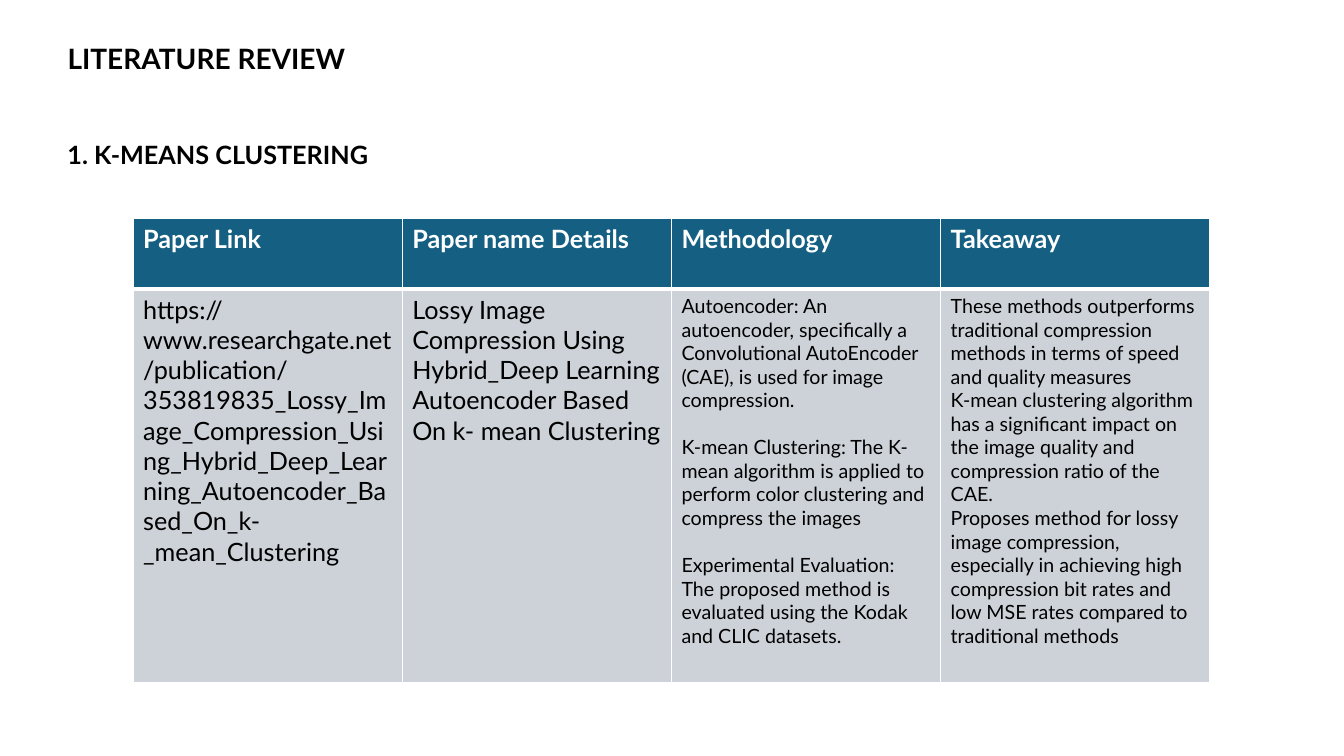
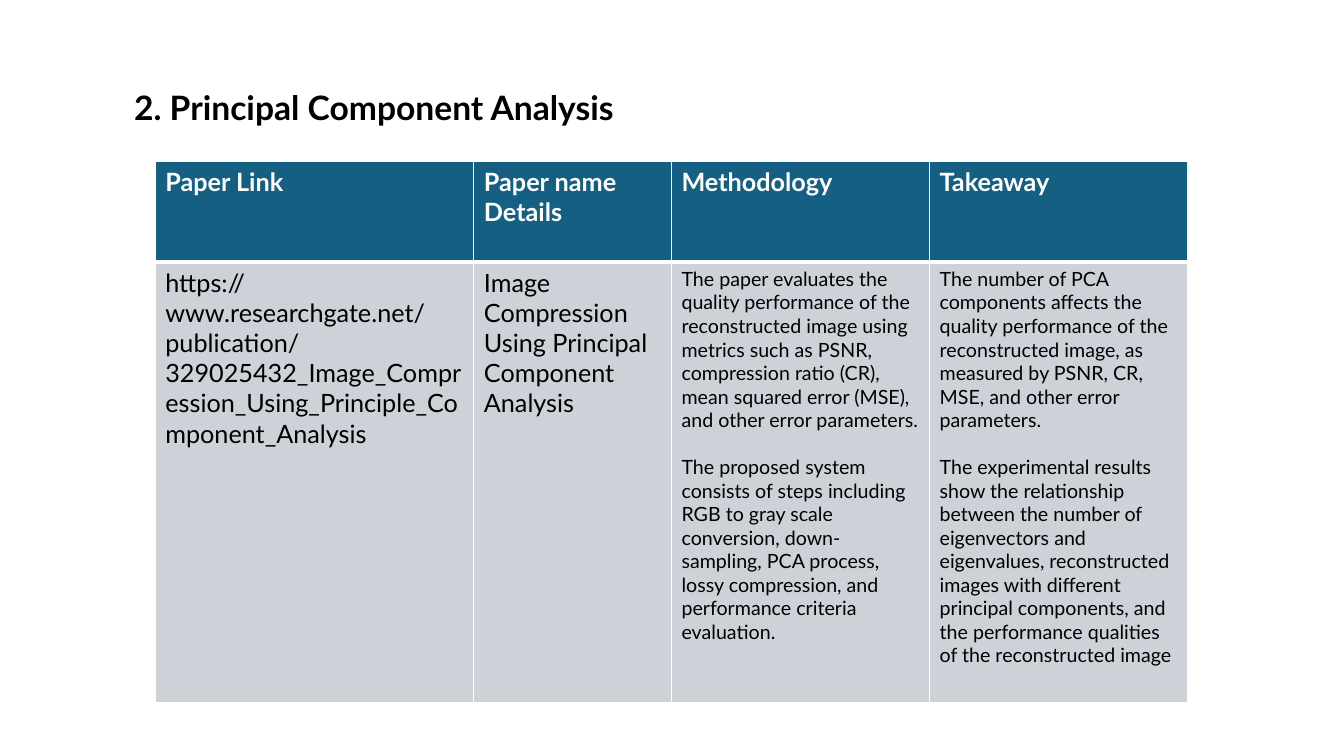
from dataclasses import dataclass

from lxml import etree
from pptx import Presentation
from pptx.dml.color import RGBColor
from pptx.enum import text
from pptx.oxml.ns import qn
from pptx.util import Inches, Pt

FONT = "Lato"
BLACK = "000000"
WHITE = "FFFFFF"
HEADER_FILL = "156082"
BODY_FILL = "CCD2D8"
HEADINGS = ("Paper Link", "Paper name Details", "Methodology", "Takeaway")
THIN, THICK = 1, 3


@dataclass(frozen=True)
class Box:
    left: float
    top: float
    width: float
    height: float


@dataclass(frozen=True)
class CellText:
    paragraphs: tuple[str, ...]
    size: float = 18
    gap: float = 0


@dataclass(frozen=True)
class Heading:
    wording: str
    box: Box
    size: float


@dataclass(frozen=True)
class Review:
    title: Heading
    subtitle: Heading | None
    left: float
    top: float
    columns: tuple[float, ...]
    rows: tuple[float, float]
    cells: tuple[CellText, ...]


REVIEWS = (
    Review(
        title=Heading("LITERATURE REVIEW", Box(0.57, 0.36, 3.68, 0.43), 20),
        subtitle=Heading("1. K-MEANS CLUSTERING", Box(0.57, 1.33, 3.68, 0.4), 18),
        left=1.32,
        top=2.17,
        columns=(2.67, 2.67, 2.67, 2.67),
        rows=(0.7, 3.9),
        cells=(
            CellText((
                "https://www.researchgate.net/publication/353819835_Lossy_Image_Compression_"
                "Using_Hybrid_Deep_Learning_Autoencoder_Based_On_k-_mean_Clustering",
            )),
            CellText((
                "Lossy Image Compression Using Hybrid_Deep Learning Autoencoder Based "
                "On k- mean Clustering",
            )),
            CellText((
                "Autoencoder: An autoencoder, specifically a Convolutional AutoEncoder (CAE), "
                "is used for image compression.",
                "K-mean Clustering: The K-mean algorithm is applied to perform color "
                "clustering and compress the images",
                "Experimental Evaluation: The proposed method is evaluated using the Kodak "
                "and CLIC datasets.",
            ), 14, 16.8),
            CellText((
                "These methods outperforms traditional compression methods in terms of speed "
                "and quality measures",
                "K-mean clustering algorithm has a significant impact on the image quality "
                "and compression ratio of the CAE.",
                "Proposes method for lossy image compression, especially in achieving high "
                "compression bit rates and low MSE rates compared to traditional methods",
            ), 14),
        ),
    ),
    Review(
        title=Heading("2. Principal Component Analysis", Box(1.23, 0.81, 7.27, 0.5), 24),
        subtitle=None,
        left=1.54,
        top=1.6,
        columns=(3.16, 1.96, 2.56, 2.56),
        rows=(1, 4.37),
        cells=(
            CellText((
                "https://www.researchgate.net/publication/329025432_Image_Compression_"
                "Using_Principle_Component_Analysis",
            )),
            CellText(("Image Compression Using Principal Component Analysis",)),
            CellText((
                "The paper evaluates the quality performance of the reconstructed image using "
                "metrics such as PSNR, compression ratio (CR), mean squared error (MSE), and "
                "other error parameters.",
                "The proposed system consists of steps including RGB to gray scale conversion, "
                "down-sampling, PCA process, lossy compression, and performance criteria "
                "evaluation.",
            ), 14, 16.8),
            CellText((
                "The number of PCA components affects the quality performance of the "
                "reconstructed image, as measured by PSNR, CR, MSE, and other error parameters.",
                "The experimental results show the relationship between the number of "
                "eigenvectors and eigenvalues, reconstructed images with different principal "
                "components, and the performance qualities of the reconstructed image",
            ), 14, 16.8),
        ),
    ),
)


def color(value: str) -> RGBColor:
    return RGBColor.from_string(value)


def write_text(frame, content: CellText, ink: str, bold: bool) -> None:
    frame.word_wrap = True
    for index, wording in enumerate(content.paragraphs):
        paragraph = frame.add_paragraph() if index else frame.paragraphs[0]
        paragraph.alignment = text.PP_ALIGN.LEFT
        if index and content.gap:
            paragraph.space_before = Pt(content.gap)
        run = paragraph.add_run()
        run.text = wording
        run.font.name = FONT
        run.font.size = Pt(content.size)
        run.font.bold = bold
        run.font.color.rgb = color(ink)


def format_heading(shape, heading: Heading) -> None:
    box = heading.box
    shape.left, shape.top = Inches(box.left), Inches(box.top)
    shape.width, shape.height = Inches(box.width), Inches(box.height)
    frame = shape.text_frame
    frame.auto_size = text.MSO_AUTO_SIZE.NONE
    frame.vertical_anchor = text.MSO_ANCHOR.TOP
    write_text(frame, CellText((heading.wording,), heading.size), BLACK, True)


def set_borders(cell, top: float, bottom: float) -> None:
    properties = cell._tc.get_or_add_tcPr()
    widths = {"a:lnL": THIN, "a:lnR": THIN, "a:lnT": top, "a:lnB": bottom}
    for tag, width in widths.items():
        line = etree.SubElement(properties, qn(tag), w=str(Pt(width)))
        fill = etree.SubElement(line, qn("a:solidFill"))
        etree.SubElement(fill, qn("a:srgbClr"), val=WHITE)


def fill_cell(cell, content: CellText, is_header: bool) -> None:
    if is_header:
        set_borders(cell, THIN, THICK)
    else:
        set_borders(cell, THICK, THIN)
    cell.fill.solid()
    cell.fill.fore_color.rgb = color(HEADER_FILL if is_header else BODY_FILL)
    write_text(cell.text_frame, content, WHITE if is_header else BLACK, is_header)


def add_review_table(slide, review: Review) -> None:
    table = slide.shapes.add_table(
        len(review.rows), len(review.columns),
        Inches(review.left), Inches(review.top),
        Inches(sum(review.columns)), Inches(sum(review.rows)),
    ).table
    table.horz_banding = False
    for column, width in zip(table.columns, review.columns):
        column.width = Inches(width)
    for row, height in zip(table.rows, review.rows):
        row.height = Inches(height)
    for index, (heading, content) in enumerate(zip(HEADINGS, review.cells)):
        fill_cell(table.cell(0, index), CellText((heading,)), True)
        fill_cell(table.cell(1, index), content, False)


def add_review_slide(presentation, review: Review) -> None:
    slide = presentation.slides.add_slide(presentation.slide_layouts[5])
    format_heading(slide.shapes.title, review.title)
    if review.subtitle:
        format_heading(slide.shapes.add_textbox(0, 0, 0, 0), review.subtitle)
    add_review_table(slide, review)


def main() -> None:
    presentation = Presentation()
    presentation.slide_width = Inches(13.33)
    presentation.slide_height = Inches(7.5)
    for review in REVIEWS:
        add_review_slide(presentation, review)
    presentation.save("out.pptx")


if __name__ == "__main__":
    main()
